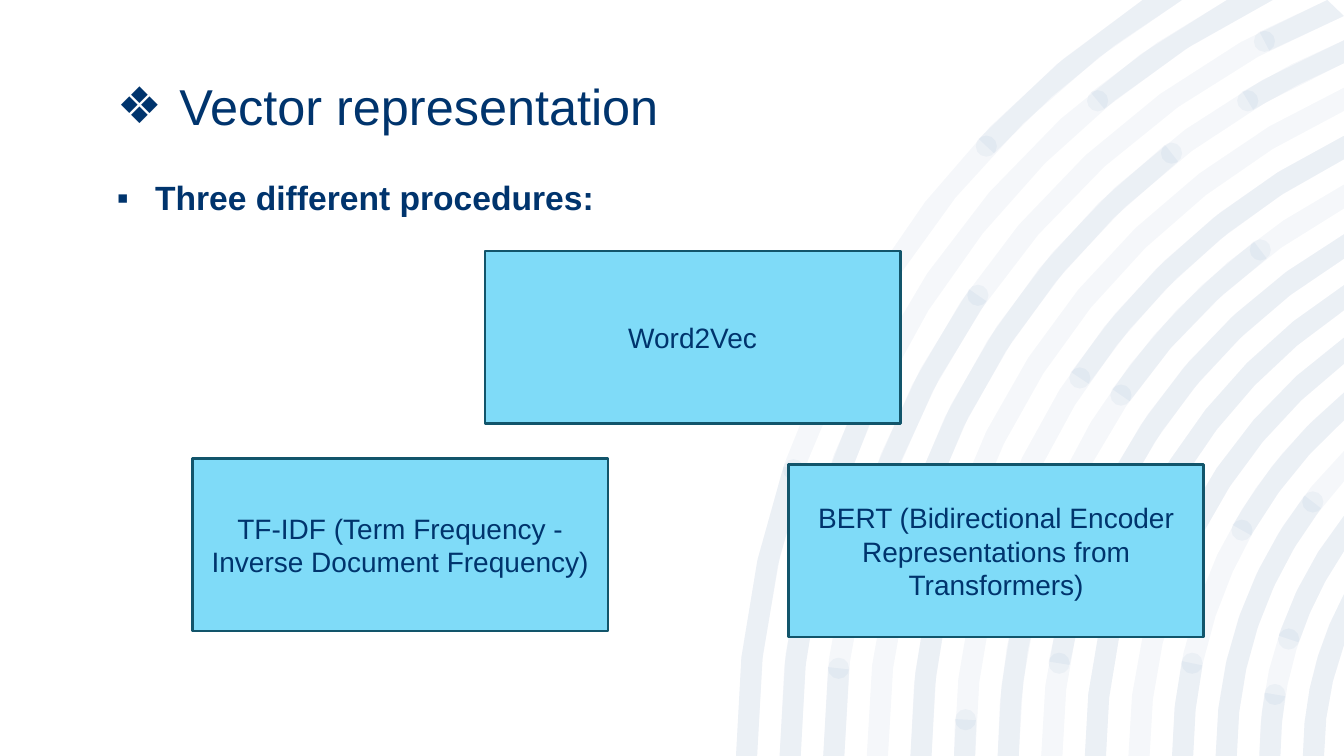
from math import acos, asin, ceil, cos, pi, sin

from lxml.etree import SubElement
from pptx import Presentation
from pptx.dml.color import RGBColor
from pptx.enum.shapes import MSO_SHAPE
from pptx.enum.text import MSO_ANCHOR, PP_ALIGN
from pptx.oxml.ns import qn
from pptx.util import Inches, Pt

NAVY = RGBColor(0x00, 0x34, 0x6D)
RING = RGBColor(0x00, 0x45, 0x91)
SKY = RGBColor(0x7F, 0xDB, 0xF8)
TEAL = RGBColor(0x12, 0x55, 0x6B)

WIDE, HIGH = 13.33, 7.5
MID = 16.29    # x of the common ring centre, on the bottom edge
BAND = 0.21    # ring thickness and dot diameter
RADII = [8.99 - 0.4325 * i for i in range(14)]

deck = Presentation()
deck.slide_width, deck.slide_height = Inches(WIDE), Inches(HIGH)
slide = deck.slides.add_slide(deck.slide_layouts[6])
shapes = slide.shapes


def draw(loops):
    """One pale see-through shape made of closed loops."""
    pen = None
    for loop in loops:
        points = [(Inches(x), Inches(y)) for x, y in loop]
        if pen is None:
            pen = shapes.build_freeform(*points[0])
        else:
            pen.move_to(*points[0])
        pen.add_line_segments(points[1:], close=True)
    shape = pen.convert_to_shape()
    shape.shadow.inherit = False
    shape.line.fill.background()
    shape.fill.solid()
    shape.fill.fore_color.rgb = RING
    color = shape._element.spPr.find(".//" + qn("a:srgbClr"))
    SubElement(color, qn("a:alpha"), val="4000")


def write(frame, text, style, bullet=None, indent=0):
    """One styled paragraph, with an optional hanging bullet."""
    frame.word_wrap = True
    para = frame.paragraphs[0]
    run = para.add_run()
    run.text = text
    run.font.color.rgb = NAVY
    for name, value in style.items():
        setattr(run.font, name, value)
    if bullet:
        props = para._p.get_or_add_pPr()
        props.set("marL", str(Inches(indent)))
        props.set("indent", str(-Inches(indent)))
        color = SubElement(props, qn("a:buClr"))
        SubElement(color, qn("a:srgbClr"), val=str(NAVY))
        SubElement(props, qn("a:buFont"), typeface="Arial")
        SubElement(props, qn("a:buChar"), char=bullet)
    return para


# Arcs as ring, start y, end y; HIGH is the bottom edge, 0 runs off the slide
full = [(i, HIGH, 0) for i in range(14)]
arcs = [
    (0, HIGH, 4.66), (0, 1.45, 0), (1, HIGH, 4.06), (1, 1.0, 0),
    (2, HIGH, 6.63), (2, 5.41, 2.93), (2, 0.41, 0),
    (3, 4.98, 1.52), (3, 1.0, 0), (4, HIGH, 4.71),
    (5, HIGH, 7.14), (5, 3.75, 0), (6, HIGH, 5.93), (6, 3.92, 2.48),
    (7, 6.58, 0), (8, HIGH, 0), (9, 5.76, 0),
    (10, HIGH, 6.58), (10, 5.26, 0), (11, HIGH, 4.98),
    (12, HIGH, 6.89), (12, 6.34, 0), (13, HIGH, 0),
]

# Two layers of ring bands
for layer in (full, arcs):
    bands = []
    for ring, low, top in layer:
        outer = RADII[ring]
        core = outer - BAND / 2
        sides = []
        for rad in (outer, outer - BAND):
            first = asin((HIGH - low) / core)
            if top:
                last = asin((HIGH - top) / core)
            else:
                last = min(acos((MID - WIDE) / rad), asin(min(1, HIGH / rad)))
            count = ceil((last - first) / 0.12)
            turns = [first + (last - first) * k / count for k in range(count + 1)]
            sides.append([(MID - rad * cos(t), HIGH - rad * sin(t)) for t in turns])
        bands.append(sides[0] + sides[1][::-1])
    draw(bands)

# Dots at the free ends of the arcs
dots = []
for ring, *ends in arcs:
    core = RADII[ring] - BAND / 2
    for y in ends:
        if 0 < y < HIGH:
            x = MID - core * cos(asin((HIGH - y) / core))
            dots.append([(x + BAND / 2 * cos(k * pi / 6),
                          y + BAND / 2 * sin(k * pi / 6)) for k in range(12)])
draw(dots)

# Title
title = shapes.add_textbox(Inches(1.06), Inches(0.7), Inches(5.81), Inches(1.31))
write(title.text_frame, "Vector representation",
      {"name": "Arial", "size": Pt(36)}, "❖", 0.62)

# Procedure boxes
boxes = [
    (1.91, 4.55, "TF-IDF (Term Frequency - Inverse Document Frequency)"),
    (4.81, 2.49, "Word2Vec"),
    (7.82, 4.61, "BERT (Bidirectional Encoder Representations from Transformers)"),
]
for x, y, text in boxes:
    box = shapes.add_shape(MSO_SHAPE.RECTANGLE, Inches(x), Inches(y),
                           Inches(4.12), Inches(1.71))
    box.shadow.inherit = False
    box.fill.solid()
    box.fill.fore_color.rgb = SKY
    box.line.color.rgb = TEAL
    box.line.width = Pt(2)
    box.text_frame.vertical_anchor = MSO_ANCHOR.MIDDLE
    para = write(box.text_frame, text, {"name": "Arial", "size": Pt(20)})
    para.alignment = PP_ALIGN.CENTER

# Lead line
lead = shapes.add_textbox(Inches(1.06), Inches(1.26), Inches(6.09), Inches(1.23))
for side in ("left", "top", "right", "bottom"):
    setattr(lead.text_frame, "margin_" + side, Inches(0.1))
para = write(lead.text_frame, "Three different procedures:",
             {"name": "Arial", "size": Pt(24), "bold": True}, "▪", 0.38)
para.line_spacing = 2.0

deck.save("out.pptx")
